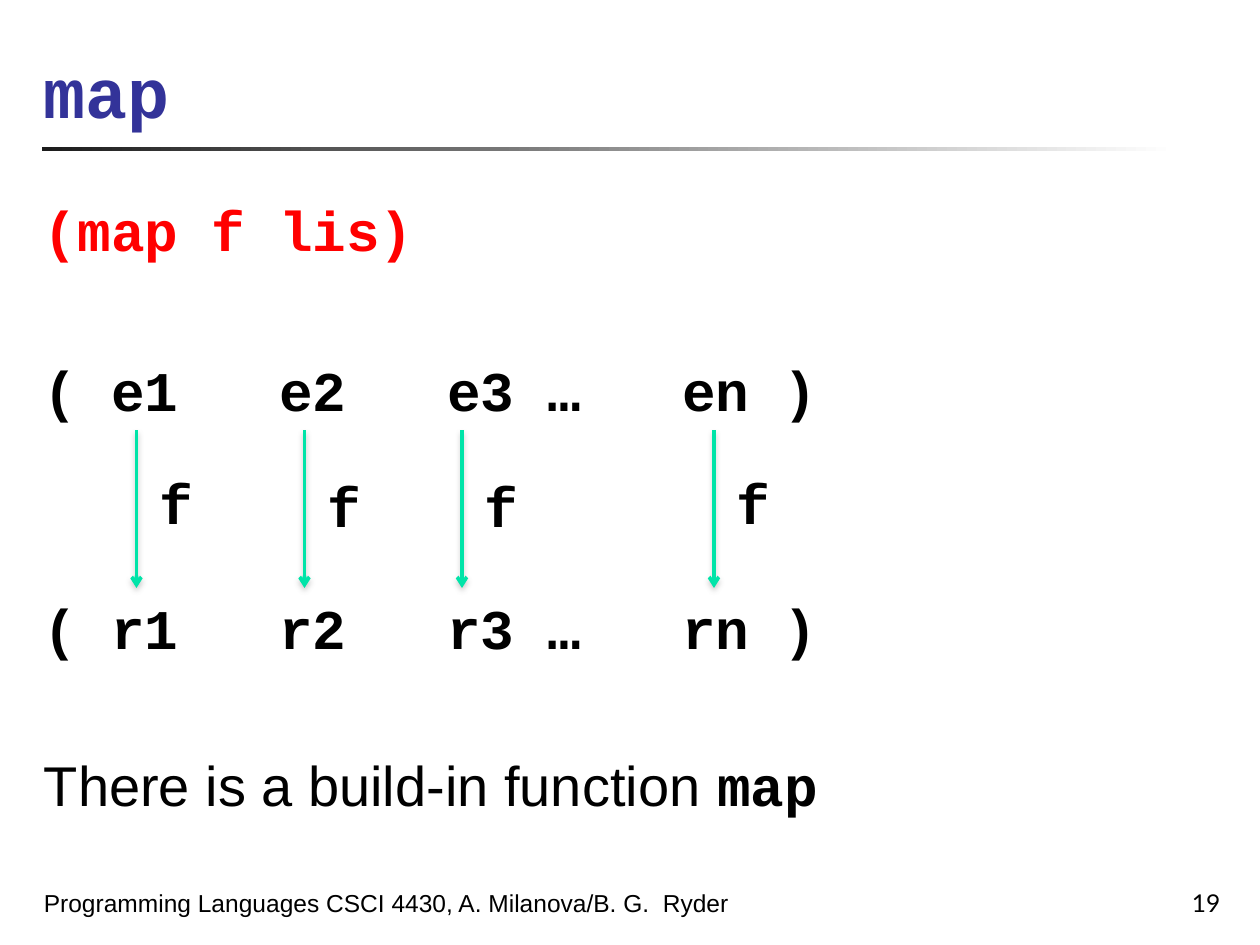
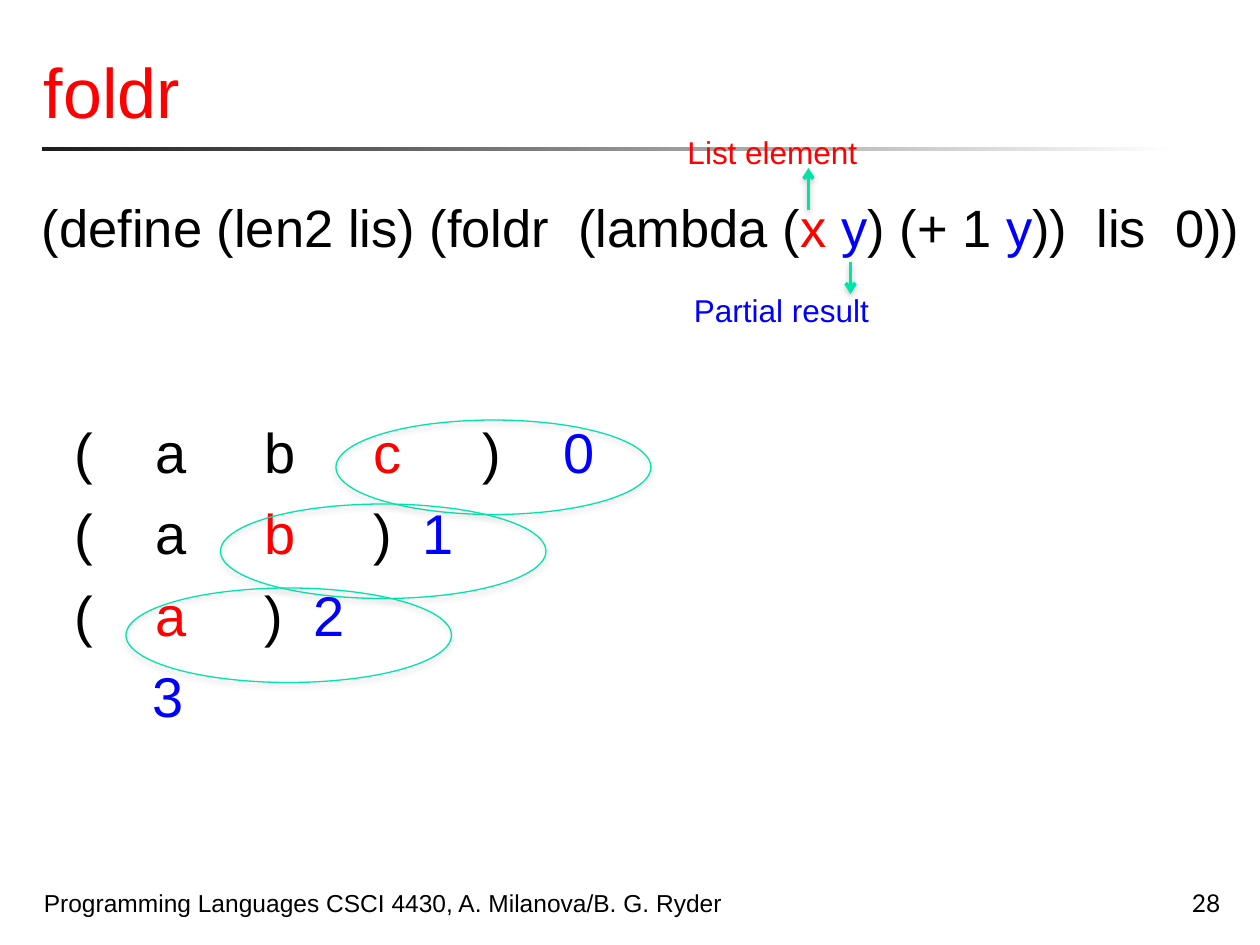
from lxml.etree import SubElement
from pptx import Presentation
from pptx.dml.color import RGBColor as RGB
from pptx.enum.shapes import MSO_CONNECTOR as Connector, MSO_SHAPE as Shape
from pptx.enum.text import MSO_ANCHOR as Anchor, PP_ALIGN as Align
from pptx.oxml.ns import qn
from pptx.util import Inches, Pt

COLORS = {
    "ink": "000000", "navy": "333399", "red": "FF0000", "blue": "0000FF",
    "green": "00E4A8", "shadow": "808080", "rule": "1C1C1C", "paper": "FFFFFF",
}
FONTS = {
    "code title": dict(name="Courier New", size=Pt(40), bold=True),
    "title": dict(name="Arial", size=Pt(40), bold=False),
    "code": dict(name="Courier New", size=Pt(32), bold=True),
    "body": dict(name="Arial", size=Pt(32), bold=False),
    "definition": dict(name="Arial", size=Pt(30), bold=False),
    "label": dict(name="Arial", size=Pt(18), bold=False),
    "footer": dict(name="Arial", size=Pt(14), bold=False),
    "number": dict(name="Lato", size=Pt(14), bold=False),
}
COLUMNS, ROWS = 120, 90  # square cells, 12 to the inch


def rgb(key):
    return RGB.from_string(COLORS[key])


def grid(*cells):
    return [Inches(cell / 12) for cell in cells]


class Deck:
    def __init__(self):
        self.file = Presentation()
        self.file.slide_width, self.file.slide_height = grid(COLUMNS, ROWS)
        self.slide = None

    def add_slide(self, title, title_font, title_color, footer, number):
        """Start a slide with the shared title, rule and footer."""
        self.slide = self.file.slides.add_slide(self.file.slide_layouts[6])
        self.rule(4, 14, 108, 0.4)
        self.text((3, 0, 114, 13.2), [[(title, title_font, title_color)]], anchor=Anchor.BOTTOM)
        self.text((3, 82, 79, 6), [[(footer, "footer", "ink")]], anchor=Anchor.BOTTOM)
        self.text((92.4, 82, 25, 6), [[(number, "number", "ink")]],
                  anchor=Anchor.BOTTOM, align=Align.RIGHT)

    def rule(self, *place):
        rule = self.slide.shapes.add_shape(Shape.RECTANGLE, *grid(*place))
        rule.shadow.inherit = False
        rule.line.fill.background()
        rule.fill.gradient()
        rule.fill.gradient_angle = 0
        for stop, key in zip(rule.fill.gradient_stops, ("rule", "paper")):
            stop.color.rgb = rgb(key)

    def text(self, place, lines, anchor=Anchor.TOP, align=Align.LEFT,
             wrap=True, gaps=None, tabs=None):
        """Lines are lists of (text, font, colour); gaps are points before each line."""
        frame = self.slide.shapes.add_textbox(*grid(*place)).text_frame
        frame.word_wrap, frame.vertical_anchor = wrap, anchor
        for index, pieces in enumerate(lines):
            line = frame.add_paragraph() if index else frame.paragraphs[0]
            line.alignment = align
            if gaps:
                line.space_before = Pt(gaps[index])
            if tabs and tabs[index]:
                self.tab_stops(line, tabs[index])
            for words, font, color in pieces:
                run = line.add_run()
                run.text = words
                for attribute, value in FONTS[font].items():
                    setattr(run.font, attribute, value)
                run.font.color.rgb = rgb(color)

    def tab_stops(self, line, stops):
        tab_list = SubElement(line._p.get_or_add_pPr(), qn("a:tabLst"))
        for stop in grid(*stops):
            SubElement(tab_list, qn("a:tab"), pos=str(stop), algn="l")

    def label(self, place, words, font, color):
        self.text(place, [[(words, font, color)]], wrap=False)

    def soft_shadow(self, shape, distance, alpha):
        properties = shape._element.spPr
        effects = properties.find(qn("a:effectLst"))
        if effects is None:
            effects = SubElement(properties, qn("a:effectLst"))
        shadow = SubElement(effects, qn("a:outerShdw"), blurRad=str(Pt(3.1)),
                            dist=str(Pt(distance)), dir="5400000", rotWithShape="0")
        color = SubElement(shadow, qn("a:srgbClr"), val=COLORS["shadow"])
        SubElement(color, qn("a:alpha"), val=str(alpha * 1000))

    def arrow(self, column, start_row, end_row):
        arrow = self.slide.shapes.add_connector(
            Connector.STRAIGHT, *grid(column, start_row, column, end_row))
        arrow.line.color.rgb, arrow.line.width = rgb("green"), Pt(2)
        SubElement(arrow.line._get_or_add_ln(), qn("a:tailEnd"), type="arrow")
        self.soft_shadow(arrow, 1.6, 38)

    def ring(self, *place):
        ring = self.slide.shapes.add_shape(Shape.OVAL, *grid(*place))
        ring.shadow.inherit = False
        ring.fill.background()
        ring.line.color.rgb, ring.line.width = rgb("green"), Pt(0.75)
        self.soft_shadow(ring, 1.8, 35)


def map_slide(deck):
    deck.add_slide("map", "code title", "navy",
                   "Programming Languages CSCI 4430, A. Milanova/B. G.  Ryder", "19")
    # Call, input list, result list and remark
    letter = 3.2
    list_stops = [letter * count for count in (7, 12, 19)]
    deck.text((3, 18, 114, 63), [
        [("(map f lis)", "code", "red")],
        [("( e1\te2\te3 …\ten )", "code", "ink")],
        [("( r1\tr2\tr3 …\trn )", "code", "ink")],
        [("There is a build-in function ", "body", "ink"), ("map", "code", "ink")],
    ], gaps=(6, 53, 98, 51), tabs=(None, list_stops, list_stops, None))
    # f applied to each element
    for column, label_row in ((13, 44), (29, 44.3), (44, 44.3), (68, 44)):
        deck.arrow(column, 41, 56)
        deck.label((column + 1, label_row, 5.6, 7.7), "f", "code", "ink")


def foldr_slide(deck):
    deck.add_slide("foldr", "title", "red",
                   "Programming Languages CSCI 4430, A. Milanova/B. G. Ryder", "28")
    # Definition
    definition = (("(define (len2 lis) (foldr  (lambda (", "ink"), ("x ", "red"), ("y", "blue"),
                  (") (+ 1 ", "ink"), ("y", "blue"), ("))  lis  0))", "ink"))
    deck.text((2.8, 18, 117.2, 8),
              [[(words, "definition", color) for words, color in definition]], gaps=(4,))
    # Folding steps: each one takes the last element and the partial result
    a, b, c, end = [7.7 + 10.4 * step for step in range(4)]
    steps = (
        (("(\ta\tb\t", "ink"), ("c", "red"), ("\t)\t", "ink"), ("0", "blue")),
        (("(\ta\t", "ink"), ("b", "red"), ("\t)\t", "ink"), ("1", "blue")),
        (("(\t", "ink"), ("a", "red"), ("\t)\t", "ink"), ("2", "blue")),
        (("\t3", "blue"),),
    )
    deck.text((5.9, 39.2, 110, 36),
              [[(words, "body", color) for words, color in step] for step in steps],
              gaps=[8] * len(steps),
              tabs=((a, b, c, end, end + 7.7), (a, b, c, c + 4.7), (a, b, b + 4.7), (a - 0.3,)))
    for left, top, width in ((32, 40, 30), (21, 48, 31), (12, 56, 31)):
        deck.ring(left, top, width, 9)
    # Roles of x and y
    deck.arrow(77, 20, 16)
    deck.label((64.3, 12.1, 18.7, 4.8), "List element", "label", "red")
    deck.arrow(81, 25, 28)
    deck.label((64.9, 27.1, 19.1, 4.8), "Partial result", "label", "blue")


def main():
    deck = Deck()
    map_slide(deck)
    foldr_slide(deck)
    deck.file.save("out.pptx")


if __name__ == "__main__":
    main()
